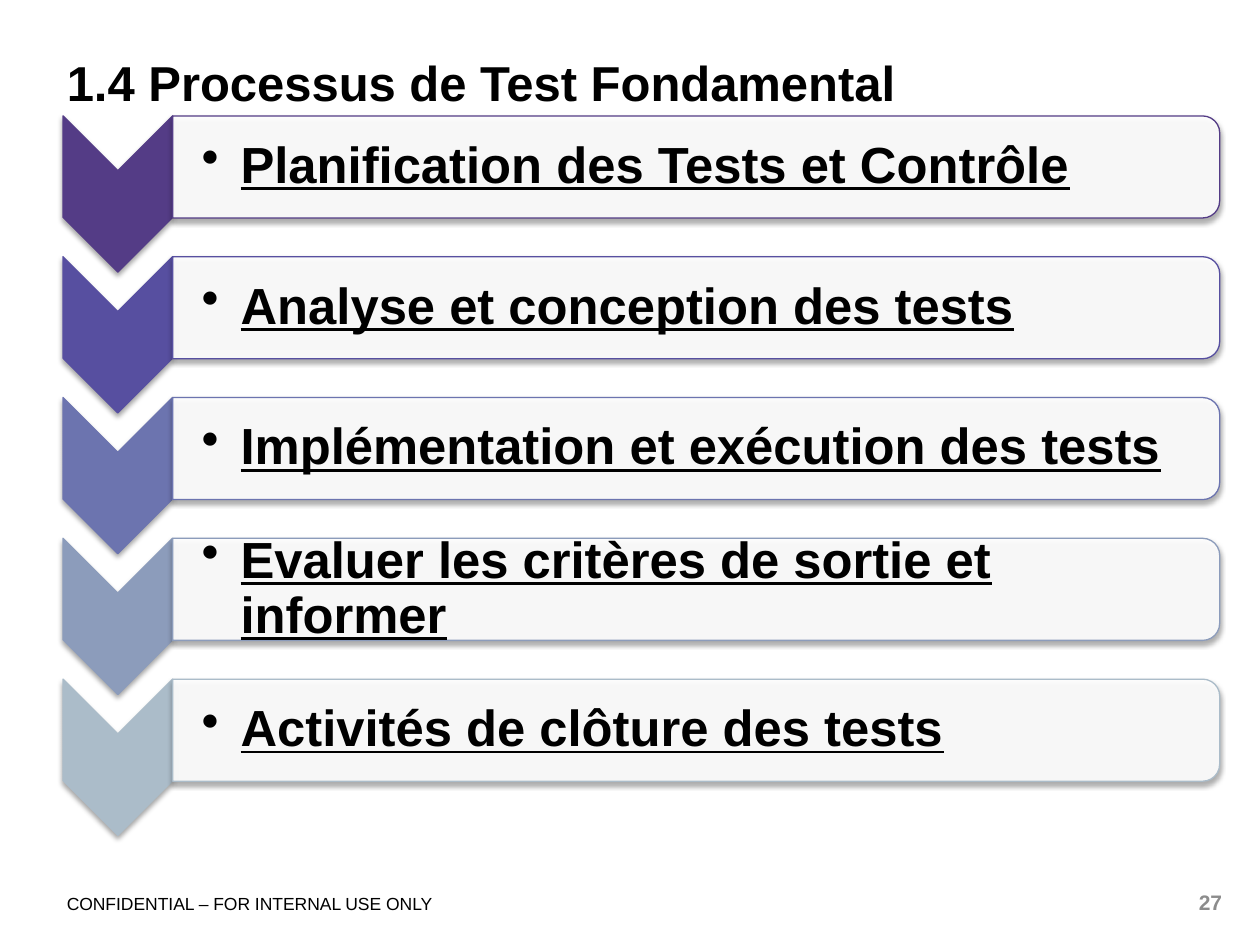
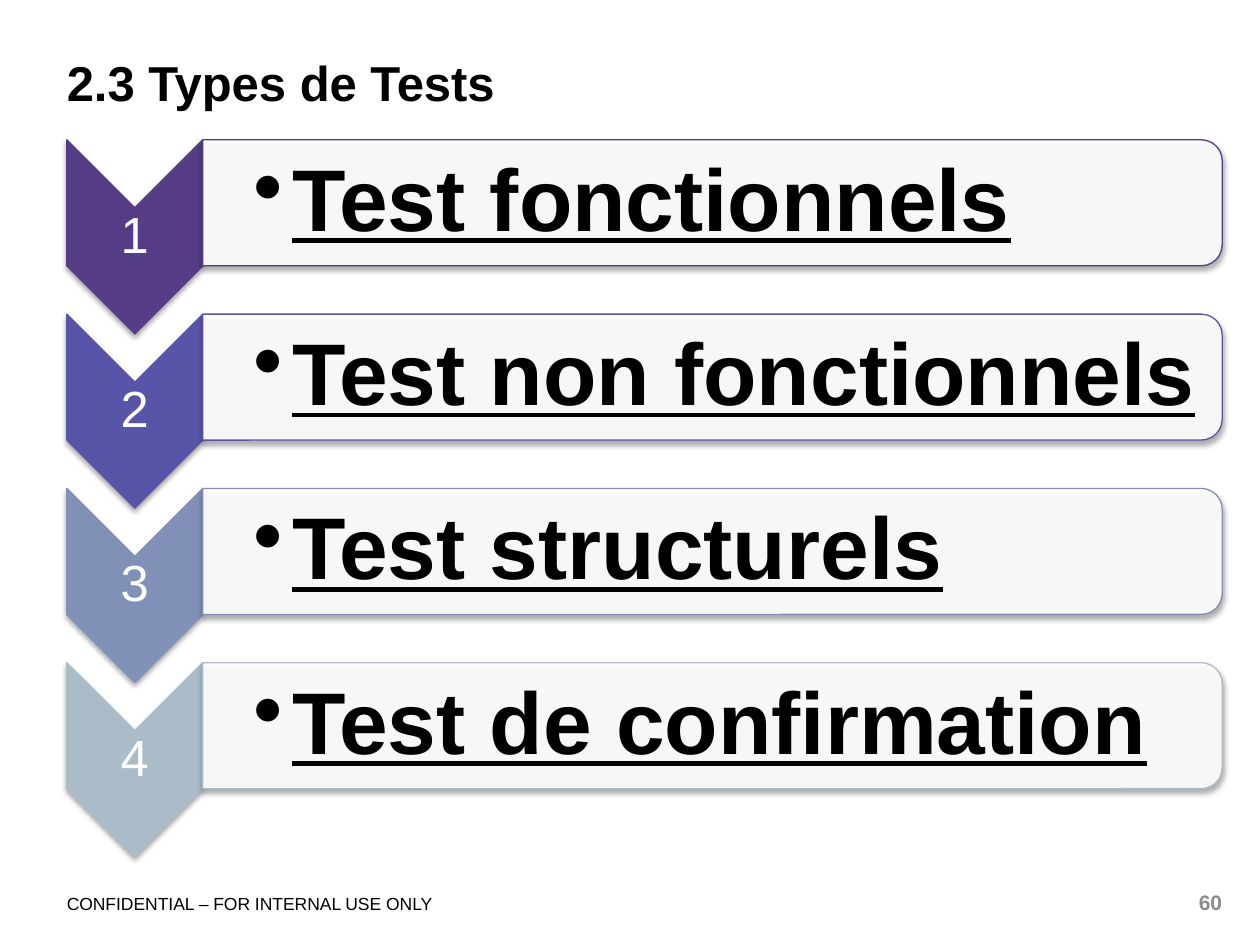
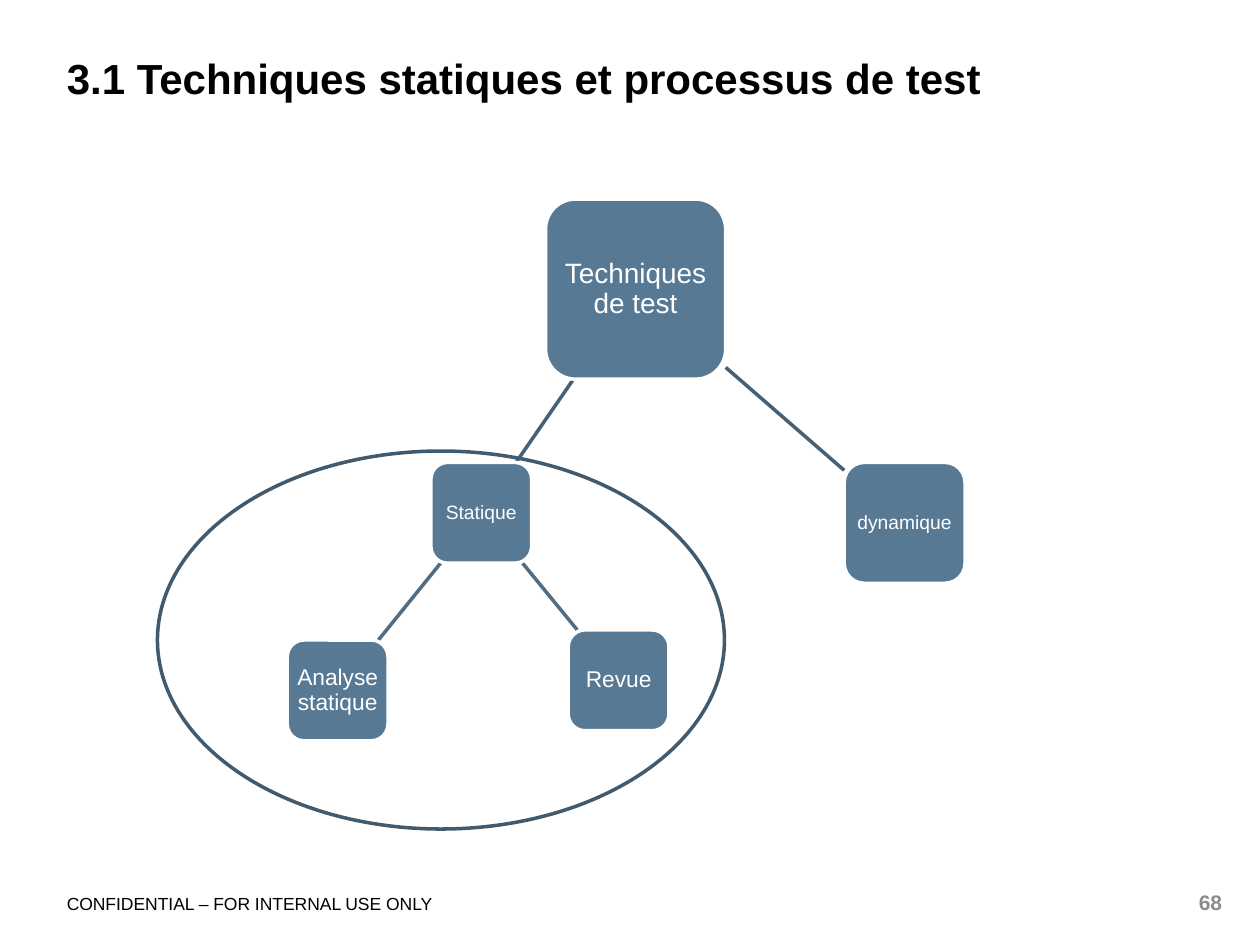
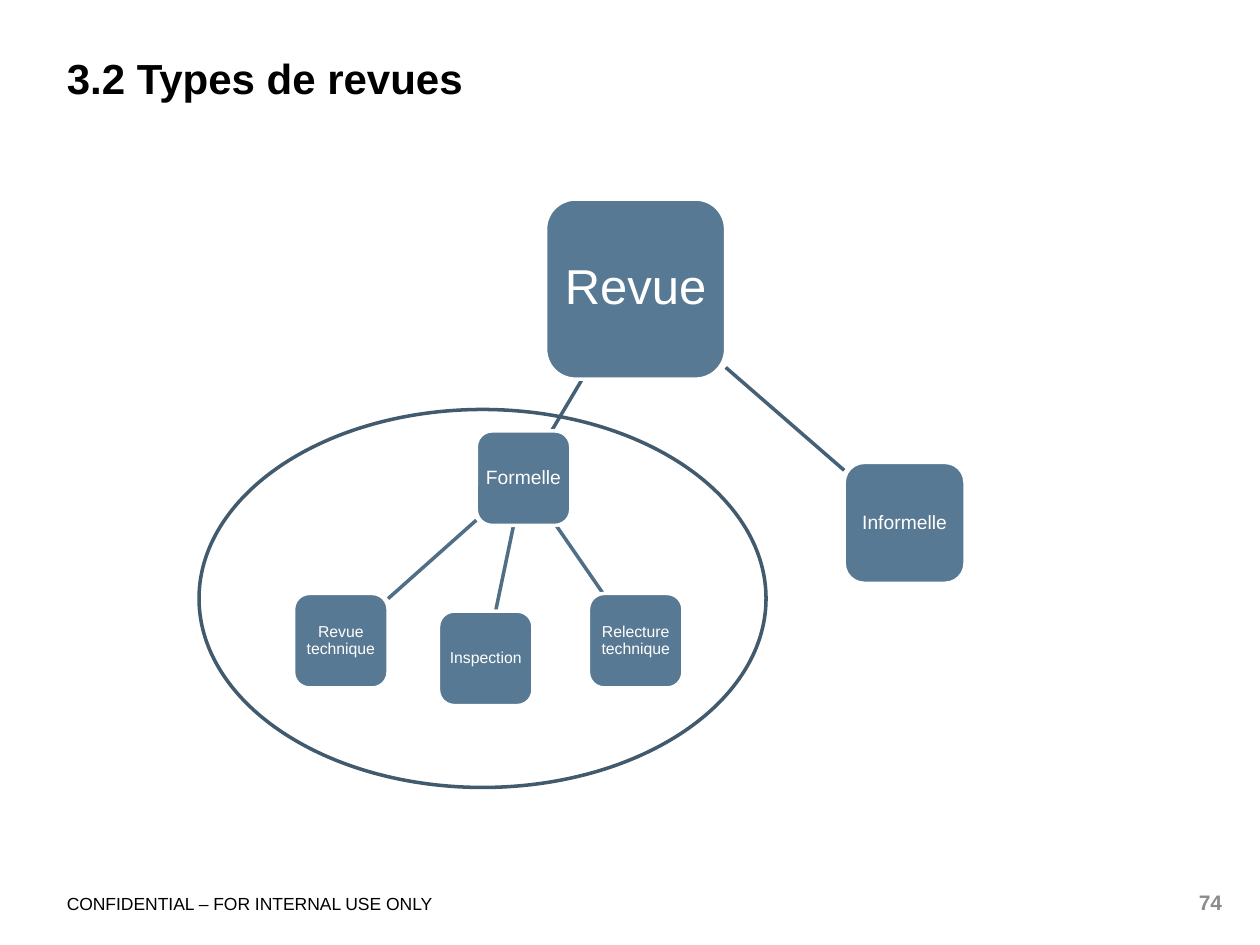
from lxml import etree
from pptx import Presentation
from pptx import util as u
from pptx.dml.color import RGBColor
from pptx.enum import shapes as es
from pptx.enum import text as et
from pptx.oxml.ns import qn

SCALE = 9144
FONT = "Arial"
HUES = {
    "ink": "000000", "white": "FFFFFF", "page": "8C8C8C",
    "plum": "543C86", "iris": "574FA0", "violet": "5855A8", "lilac": "6C74AF",
    "slate": "8190B7", "haze": "8C9CBB", "mist": "ABBCC9",
    "node": "587993", "limb": "466176", "twig": "506E85", "ring": "415A6D",
}
ALIGN = et.PP_ALIGN
ANCHOR = et.MSO_ANCHOR
FORM = es.MSO_SHAPE


def px(*vals):
    return [round(v * SCALE) for v in vals]


def hue(name):
    return RGBColor.from_string(HUES[name])


def write(shape, words, size, tint="ink", bold=False, line=False,
          align=ALIGN.LEFT, anchor=ANCHOR.TOP, pads=(0, 0, 0, 0), gap=None):
    frame = shape.text_frame
    frame.text = words
    frame.word_wrap = True
    frame.auto_size = et.MSO_AUTO_SIZE.NONE
    frame.vertical_anchor = anchor
    (frame.margin_left, frame.margin_top,
     frame.margin_right, frame.margin_bottom) = px(*pads)
    para = frame.paragraphs[0]
    para.alignment = align
    para.line_spacing = gap
    for run in para.runs:
        font = run.font
        font.name = FONT
        font.size = u.Pt(size)
        font.bold = bold
        font.underline = line
        font.color.rgb = hue(tint)
    return para


def label(slide, box, words, size, **style):
    shape = slide.shapes.add_textbox(*px(*box))
    return shape, write(shape, words, size, **style)


def draw(slide, form, box, fill, edge, width):
    shape = slide.shapes.add_shape(form, *px(*box))
    shape.shadow.inherit = False
    if fill:
        shape.fill.solid()
        shape.fill.fore_color.rgb = hue(fill)
    else:
        shape.fill.background()
    shape.line.color.rgb = hue(edge)
    shape.line.width = u.Pt(width)
    return shape


def fade(color, share):
    etree.SubElement(color, qn("a:alpha"), val=str(share * 1000))


def shade(shape):
    effect = shape._element.spPr.find(qn("a:effectLst"))
    outer = etree.SubElement(effect, qn("a:outerShdw"), blurRad=str(u.Pt(3.1)),
                             dist=str(u.Pt(1.8)), dir="5400000", rotWithShape="0")
    fade(etree.SubElement(outer, qn("a:srgbClr"), val=HUES["ink"]), 35)


def turned(slide, form, box, fill, edge):
    x, y, w, h = box
    shift = (w - h) / 2
    shape = draw(slide, form, (x + shift, y - shift, h, w), fill, edge, 0.75)
    shape.rotation = 90
    shade(shape)
    return shape


def bullet(para, indent):
    props = para._p.get_or_add_pPr()
    props.set("marL", str(px(indent)[0]))
    props.set("indent", str(px(-indent)[0]))
    etree.SubElement(props, qn("a:buChar"), char="•")


def start(deck, title, size, page):
    slide = deck.slides.add_slide(deck.slide_layouts[5])
    head = slide.shapes.title
    head.left, head.top, head.width, head.height = px(53, 37, 917, 59)
    write(head, title, size, bold=True, pads=(0, 5, 0, 0))
    label(slide, (931, 706, 39, 20), page, 12, tint="page", bold=True,
          align=ALIGN.RIGHT)
    return slide


def footer(deck, slide):
    note, _ = label(slide, (53, 709, 442, 20),
                    "CONFIDENTIAL – FOR INTERNAL USE ONLY", 10)
    note._element.nvSpPr.cNvPr.set("id", "90")
    deck.slide_master.shapes._spTree.append(note._element)


def steps(slide, box, rows, tall, size, count=False):
    x, y, w, h = box
    pitch = (h - tall) / (len(rows) - 1)
    arm, deep = round(tall * 0.7), round(tall * 0.65)
    for i, (words, tint) in enumerate(rows):
        top = y + i * pitch
        turned(slide, FORM.CHEVRON, (x, top, arm, tall), tint, tint)
        if count:
            label(slide, (x, top + arm / 2, arm, tall - arm), str(i + 1), 29,
                  tint="white", align=ALIGN.CENTER, anchor=ANCHOR.MIDDLE,
                  pads=(2, 2, 2, 2), gap=0.9)
        bar = turned(slide, FORM.ROUND_2_SAME_RECTANGLE,
                     (x + arm, top, w - arm, deep), "white", tint)
        fade(bar._element.spPr.find(qn("a:solidFill"))[0], 90)
        inner = round(tall * 0.59)
        _, para = label(slide, (x + arm, top + (deep - inner) / 2, w - arm - 5, inner),
                        words, size, bold=True, line=True, anchor=ANCHOR.MIDDLE,
                        pads=(round(size * 0.79), 2, 2, 2), gap=0.9)
        bullet(para, 31)


def node(slide, spot, item):
    words, x, y, side, size = item
    shape = draw(slide, FORM.ROUNDED_RECTANGLE,
                 (spot[0] + x, spot[1] + y, side, side), "node", "white", 2)
    pad = round(size * 0.28)
    write(shape, words, size, tint="white", align=ALIGN.CENTER,
          anchor=ANCHOR.MIDDLE, pads=(pad,) * 4, gap=0.9)


def link(slide, spot, high, low, tint):
    (ax, ay, ar), (bx, by, br) = [
        (spot[0] + x + side / 2, spot[1] + y + side / 2, side / 2)
        for _, x, y, side, _ in (high, low)]
    dx, dy = bx - ax, by - ay
    reach = max(abs(dx), abs(dy))
    s, t = ar / reach, br / reach
    line = slide.shapes.add_connector(
        es.MSO_CONNECTOR.STRAIGHT,
        *px(ax + dx * s, ay + dy * s, bx - dx * t, by - dy * t))
    line.line.color.rgb = hue(tint)
    line.line.width = u.Pt(2)
    etree.SubElement(line._element.spPr, qn("a:effectLst"))


def tree(slide, spot, root, left, right, kids, ring):
    for item in (right, left):
        link(slide, spot, root, item, "limb")
    for kid in kids:
        link(slide, spot, left, kid, "twig")
    for item in (root, left, *kids, right):
        node(slide, spot, item)
    draw(slide, FORM.OVAL, (spot[0] + ring[0], spot[1] + ring[1], 450, 300),
         None, "ring", 2)


def main():
    deck = Presentation()
    deck.slide_width, deck.slide_height = px(1000, 750)

    slide = start(deck, "1.4 Processus de Test Fondamental", 28, "27")
    footer(deck, slide)
    steps(slide, (50, 92, 918, 571), [
        ("Planification des Tests et Contrôle", "plum"),
        ("Analyse et conception des tests", "iris"),
        ("Implémentation et exécution des tests", "lilac"),
        ("Evaluer les critères de sortie et informer", "haze"),
        ("Activités de clôture des tests", "mist"),
    ], 124, 29)

    slide = start(deck, "2.3 Types de Tests", 28, "60")
    steps(slide, (53, 111, 917, 569), [
        ("Test fonctionnels", "plum"),
        ("Test non fonctionnels", "violet"),
        ("Test structurels", "slate"),
        ("Test de confirmation", "mist"),
    ], 154, 50, count=True)

    spot = (125, 158)
    slide = start(deck, "3.1 Techniques statiques et processus de test", 24, "68")
    tree(slide, spot,
         root=("Techniques de test", 308, 0, 143, 16),
         left=("Statique", 217, 209, 80, 11),
         right=("dynamique", 545, 209, 96, 11),
         kids=[("Analyse statique", 103, 350, 80, 13),
               ("Revue", 326, 342, 80, 13)],
         ring=(0, 200))

    slide = start(deck, "3.2 Types de revues", 24, "74")
    tree(slide, spot,
         root=("Revue", 308, 0, 143, 28),
         left=("Formelle", 253, 184, 75, 11),
         right=("Informelle", 545, 209, 96, 11),
         kids=[("Inspection", 223, 327, 75, 9),
               ("Relecture technique", 342, 313, 75, 9),
               ("Revue technique", 108, 313, 75, 9)],
         ring=(33, 167))

    deck.save("out.pptx")


if __name__ == "__main__":
    main()
